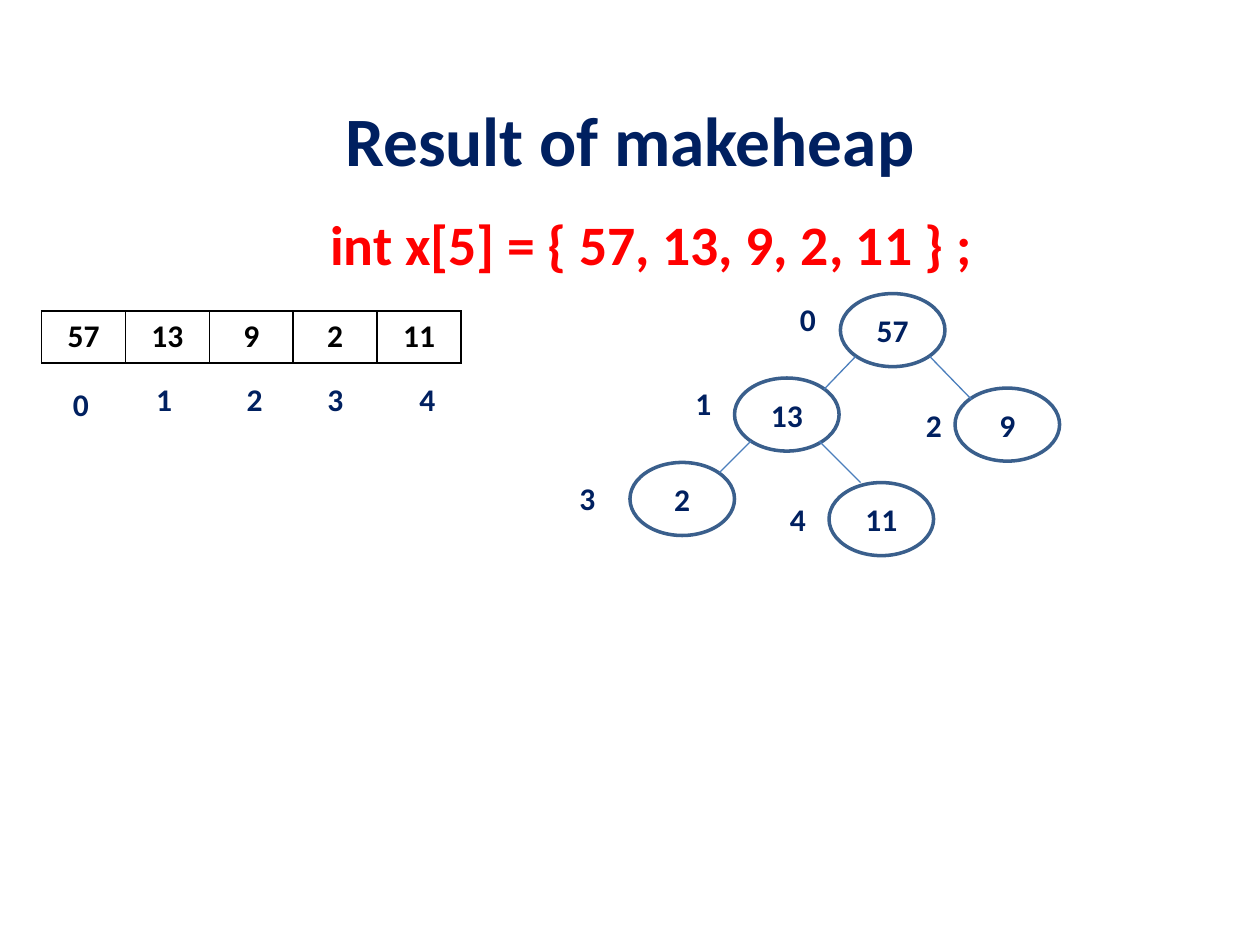
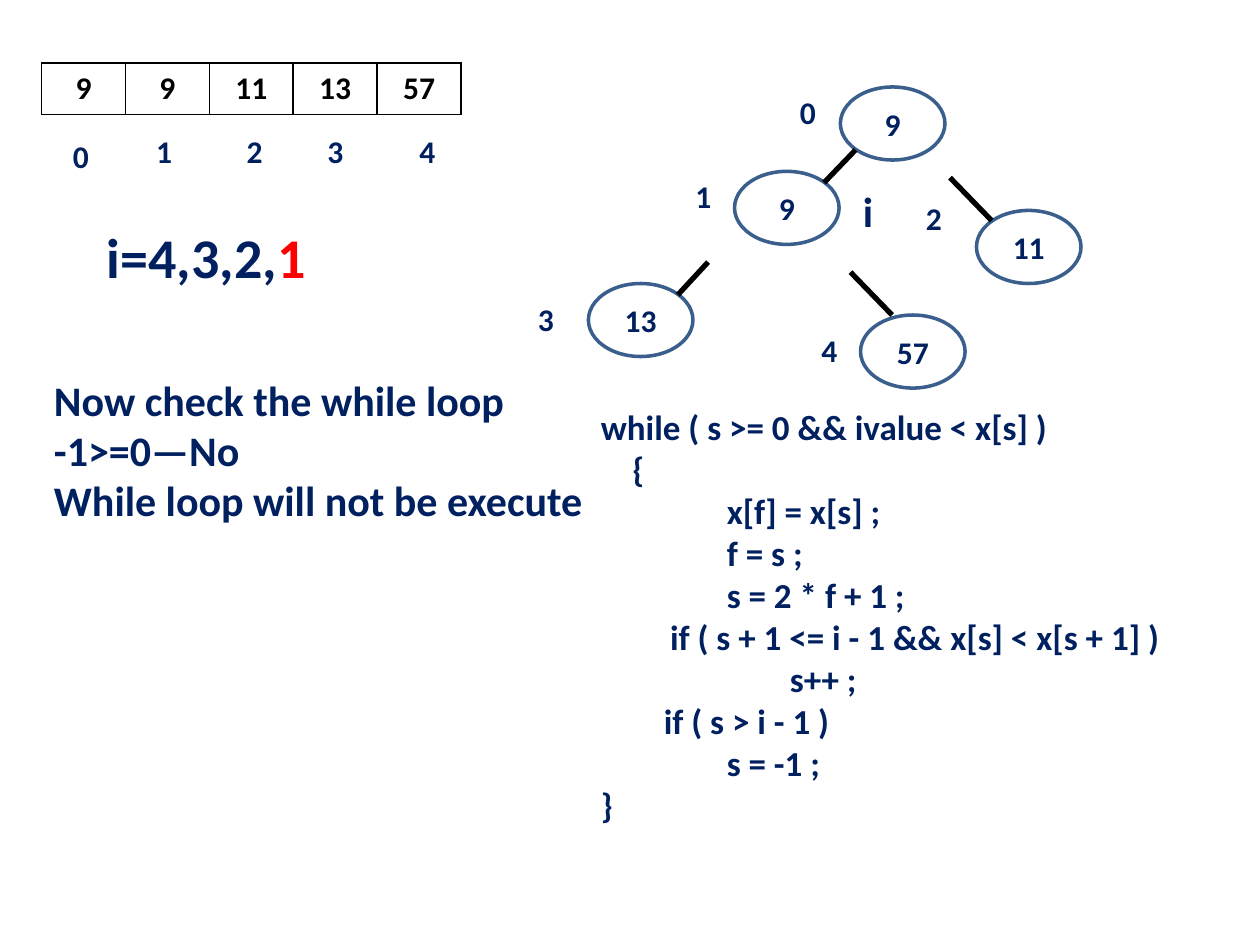
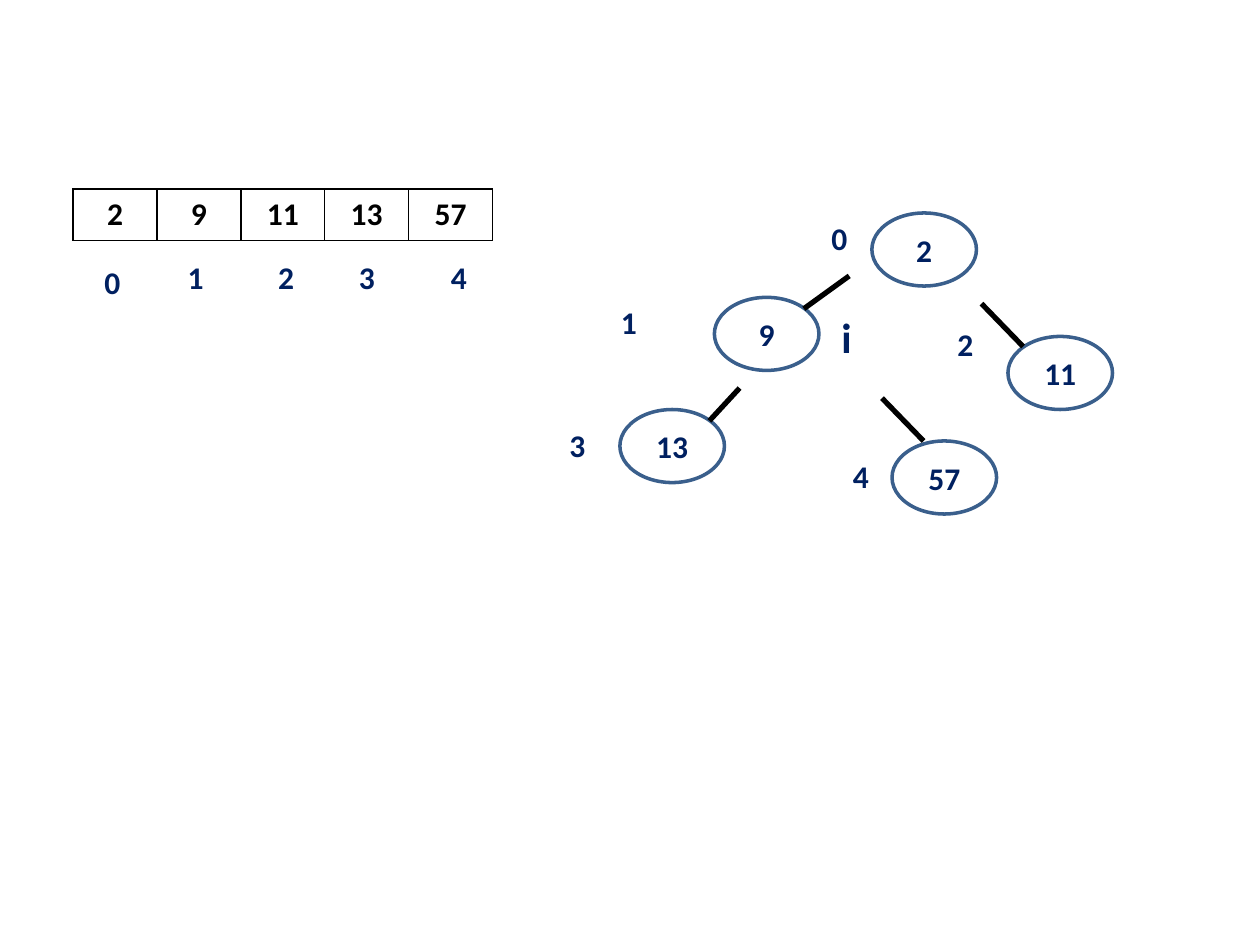
"""Build three heap sort slides: the heap, the last sorting step and the sorted array."""
from dataclasses import dataclass

from lxml import etree
from pptx import Presentation
from pptx.dml.color import RGBColor
from pptx.enum.shapes import MSO_CONNECTOR, MSO_SHAPE
from pptx.enum.text import MSO_ANCHOR, MSO_AUTO_SIZE, PP_ALIGN
from pptx.oxml.ns import qn
from pptx.util import Inches, Pt

LEFT, CENTER = PP_ALIGN.LEFT, PP_ALIGN.CENTER
TOP, MIDDLE = MSO_ANCHOR.TOP, MSO_ANCHOR.MIDDLE
NO_FIT = MSO_AUTO_SIZE.NONE
ELLIPSE, STRAIGHT = MSO_SHAPE.OVAL, MSO_CONNECTOR.STRAIGHT
TITLE_AND_CONTENT, BLANK = 1, 6


@dataclass(frozen=True)
class Theme:
    font: str = "Calibri"
    ink: str = "002060"
    accent: str = "FF0000"
    black: str = "000000"
    white: str = "FFFFFF"
    outline: str = "3A5F8C"
    edge: str = "4B7EBC"
    title: float = 39.6
    subtitle: float = 31.8
    counter: float = 32
    note: float = 24
    code: float = 20
    label: float = 18


THEME = Theme()
NODE_W, NODE_H = 0.83, 0.58
LABEL_W, LABEL_H = 0.34, 0.4
ARRAY_W, ARRAY_H = 3.33, 0.41
INDEX_OFFSETS = [(0.15, 0.54), (0.81, 0.5), (1.53, 0.5), (2.17, 0.5), (2.9, 0.5)]


def rgb(value):
    return RGBColor.from_string(value)


def write(tf, lines, size=THEME.label, color=THEME.ink, align=LEFT, anchor=TOP,
          spacing=None, indents=()):
    """Fill a text frame; a line is a string or a list of (text, colour) runs."""
    tf.word_wrap = True
    tf.auto_size = NO_FIT
    tf.vertical_anchor = anchor
    for i, line in enumerate(lines):
        p = tf.paragraphs[0] if i == 0 else tf.add_paragraph()
        p.alignment = align
        if spacing:
            p.line_spacing = spacing
        if indents:
            p._p.get_or_add_pPr().set("marL", str(Inches(indents[i])))
        for text, run_color in [(line, color)] if isinstance(line, str) else line:
            r = p.add_run()
            r.text = text
            r.font.name = THEME.font
            r.font.size = Pt(size)
            r.font.bold = True
            r.font.color.rgb = rgb(run_color)


class Deck:
    """Hold the presentation, its theme and the current slide."""

    def __init__(self, theme):
        self.theme = theme
        self.prs = Presentation()
        self.prs.slide_width, self.prs.slide_height = Inches(10), Inches(7.5)
        self.slide = None

    def add_slide(self, layout=BLANK):
        self.slide = self.prs.slides.add_slide(self.prs.slide_layouts[layout])

    def heading(self, index, text, x, y, margin_top, **style):
        sp = self.slide.placeholders[index]
        sp.left, sp.top, sp.width, sp.height = map(Inches, (x, y, 9, 1.25))
        tf = sp.text_frame
        tf.margin_top = Inches(margin_top)
        write(tf, [text], align=CENTER, spacing=0.8, **style)
        pPr = tf.paragraphs[0]._p.get_or_add_pPr()
        pPr.set("marL", "0")
        pPr.set("indent", "0")
        etree.SubElement(pPr, qn("a:buNone"))

    def text(self, lines, x, y, w=LABEL_W, h=LABEL_H, **style):
        sp = self.slide.shapes.add_textbox(*map(Inches, (x, y, w, h)))
        write(sp.text_frame, lines, **style)

    def node(self, value, x, y):
        sp = self.slide.shapes.add_shape(ELLIPSE, *map(Inches, (x, y, NODE_W, NODE_H)))
        sp.shadow.inherit = False
        sp.fill.solid()
        sp.fill.fore_color.rgb = rgb(self.theme.white)
        sp.line.color.rgb = rgb(self.theme.outline)
        sp.line.width = Pt(2)
        write(sp.text_frame, [str(value)], align=CENTER, anchor=MIDDLE)

    def edge(self, ends, color, width):
        sp = self.slide.shapes.add_connector(STRAIGHT, *map(Inches, ends))
        sp.line.color.rgb = rgb(color)
        sp.line.width = Pt(width)
        etree.SubElement(sp._element.spPr, qn("a:effectLst"))

    def tree(self, values, nodes, labels, edges, color=THEME.black, width=3):
        for value, at in zip(values, nodes):
            self.node(value, *at)
        for ends in edges:
            self.edge(ends, color, width)
        for i, at in enumerate(labels):
            self.text([str(i)], *at)

    def border(self, cell):
        tcPr = cell._tc.get_or_add_tcPr()
        for i, side in enumerate(("lnL", "lnR", "lnT", "lnB")):
            ln = etree.Element(qn(f"a:{side}"), w=str(Pt(1)))
            fill = etree.SubElement(ln, qn("a:solidFill"))
            etree.SubElement(fill, qn("a:srgbClr"), val=self.theme.black)
            tcPr.insert(i, ln)

    def array(self, values, x, y):
        """Draw the array as a table with the indexes below its cells."""
        frame = self.slide.shapes.add_table(
            1, len(values), *map(Inches, (x, y, ARRAY_W, ARRAY_H)))
        table = frame.table
        table.first_row = table.horz_banding = False
        for col, value in enumerate(values):
            table.columns[col].width = Inches(ARRAY_W / len(values))
            cell = table.cell(0, col)
            cell.fill.background()
            self.border(cell)
            p = cell.text_frame.paragraphs[0]
            p.alignment = CENTER
            r = p.add_run()
            r.text = str(value)
            r.font.name, r.font.size, r.font.bold = self.theme.font, Pt(self.theme.label), True
            r.font.color.rgb = rgb(self.theme.black)
        for i, (dx, dy) in enumerate(INDEX_OFFSETS):
            self.text([str(i)], x + dx, y + dy)


def heap_slide(deck):
    values = [57, 13, 9, 2, 11]
    deck.add_slide(TITLE_AND_CONTENT)
    deck.heading(0, "Result of makeheap", 0.5, 0.3, 0.6, size=THEME.title)
    deck.heading(1, "int x[5] = { 57, 13, 9, 2, 11 } ;", 0.67, 1.33, 0.44,
                 size=THEME.subtitle, color=THEME.accent)
    deck.tree(
        values,
        nodes=[(6.67, 2.33), (5.83, 3), (7.58, 3.08), (5, 3.67), (6.58, 3.83)],
        labels=[(6.25, 2.33), (5.42, 3), (7.25, 3.17), (4.5, 3.75), (6.17, 3.92)],
        edges=[(6.79, 2.83, 6.54, 3.09), (7.38, 2.83, 7.71, 3.17),
               (5.96, 3.5, 5.71, 3.75), (6.5, 3.5, 6.83, 3.83)],
        color=THEME.edge, width=0.75)
    deck.array(values, 0.33, 2.47)


def last_step_slide(deck):
    values = [9, 9, 11, 13, 57]
    code = [
        (0, "while ( s >= 0 && ivalue < x[s] )"),
        (0.25, "{"),
        (1, "x[f] = x[s] ;"),
        (1, "f = s ;"),
        (1, "s = 2 * f + 1 ;"),
        (0.55, "if ( s + 1 <= i - 1 && x[s] < x[s + 1] )"),
        (1.5, "s++ ;"),
        (0.5, "if ( s > i - 1 )"),
        (1, "s = -1 ;"),
        (0, "}"),
    ]
    indents, lines = zip(*code)
    deck.add_slide()
    deck.text([[("i=4,3,2,", THEME.ink), ("1", THEME.accent)]],
              0.75, 1.72, 1.93, 0.64, size=THEME.counter)
    deck.tree(
        values,
        nodes=[(6.67, 0.69), (5.83, 1.36), (7.75, 1.67), (4.67, 2.25), (6.83, 2.5)],
        labels=[(6.25, 0.69), (5.42, 1.36), (7.25, 1.53), (4.17, 2.33), (6.42, 2.58)],
        edges=[(6.79, 1.19, 6.54, 1.45), (7.54, 1.41, 7.87, 1.75),
               (5.62, 2.08, 5.38, 2.34), (6.75, 2.16, 7.08, 2.5)])
    deck.array(values, 0.33, 0.5)
    deck.text(["i"], 6.75, 1.42, 0.29, 0.5, size=THEME.note)
    deck.text(["Now check the while loop", "-1>=0—No", "While loop will not be execute"],
              0.33, 2.92, 4.43, 2.02, size=THEME.note)
    deck.text(lines, 4.67, 3.17, 5, 4.11, size=THEME.code, indents=indents)


def sorted_slide(deck):
    values = [2, 9, 11, 13, 57]
    deck.add_slide()
    deck.tree(
        values,
        nodes=[(6.92, 1.69), (5.67, 2.36), (8, 2.67), (4.92, 3.25), (7.08, 3.5)],
        labels=[(6.5, 1.69), (4.83, 2.36), (7.5, 2.53), (4.42, 3.33), (6.67, 3.58)],
        edges=[(6.74, 2.19, 6.38, 2.45), (7.79, 2.41, 8.12, 2.75),
               (5.87, 3.08, 5.63, 3.34), (7, 3.16, 7.33, 3.5)])
    deck.array(values, 0.58, 1.5)
    deck.text(["i"], 6.58, 2.42, 0.29, 0.5, size=THEME.note)


deck = Deck(THEME)
for build in (heap_slide, last_step_slide, sorted_slide):
    build(deck)
deck.prs.save("out.pptx")
